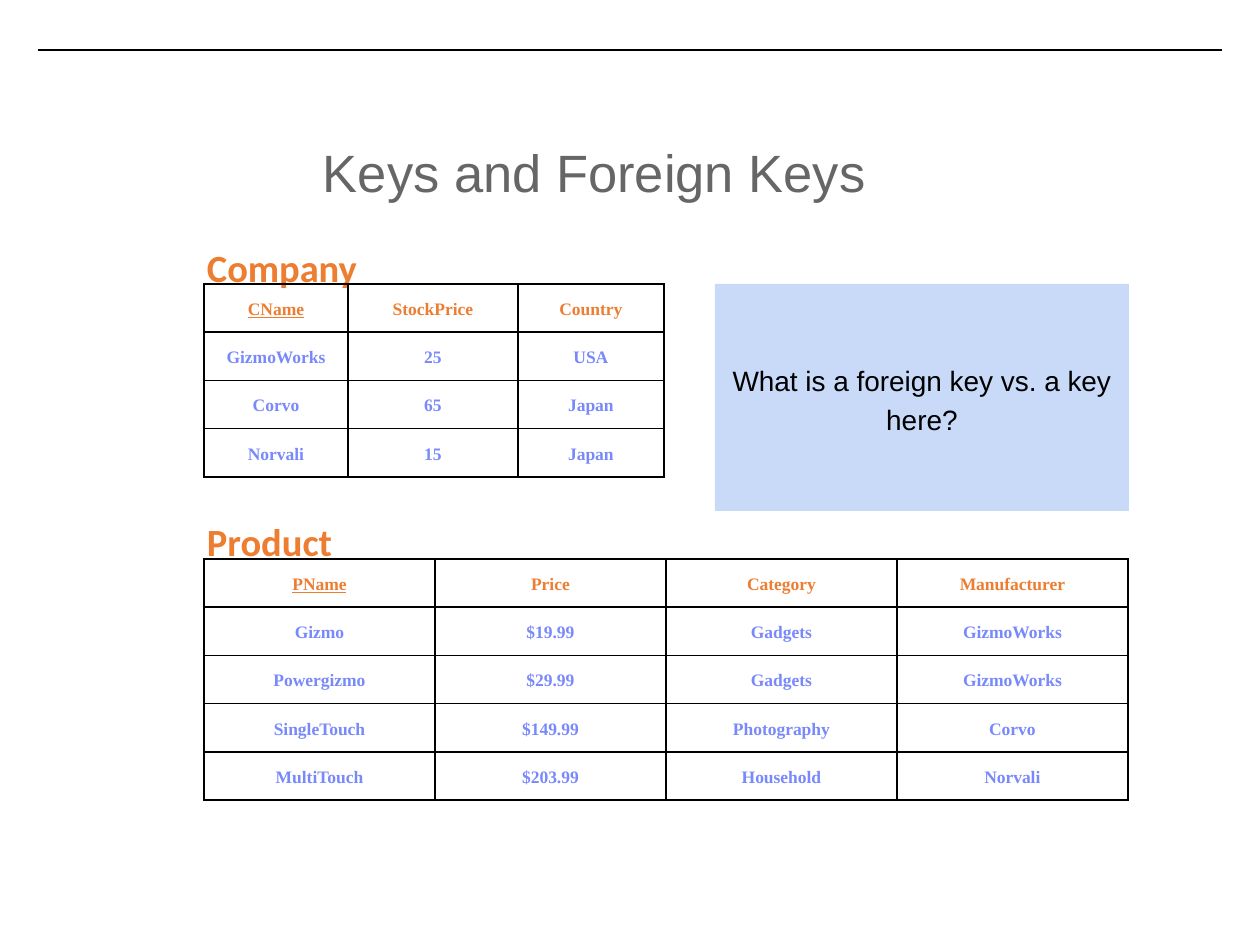
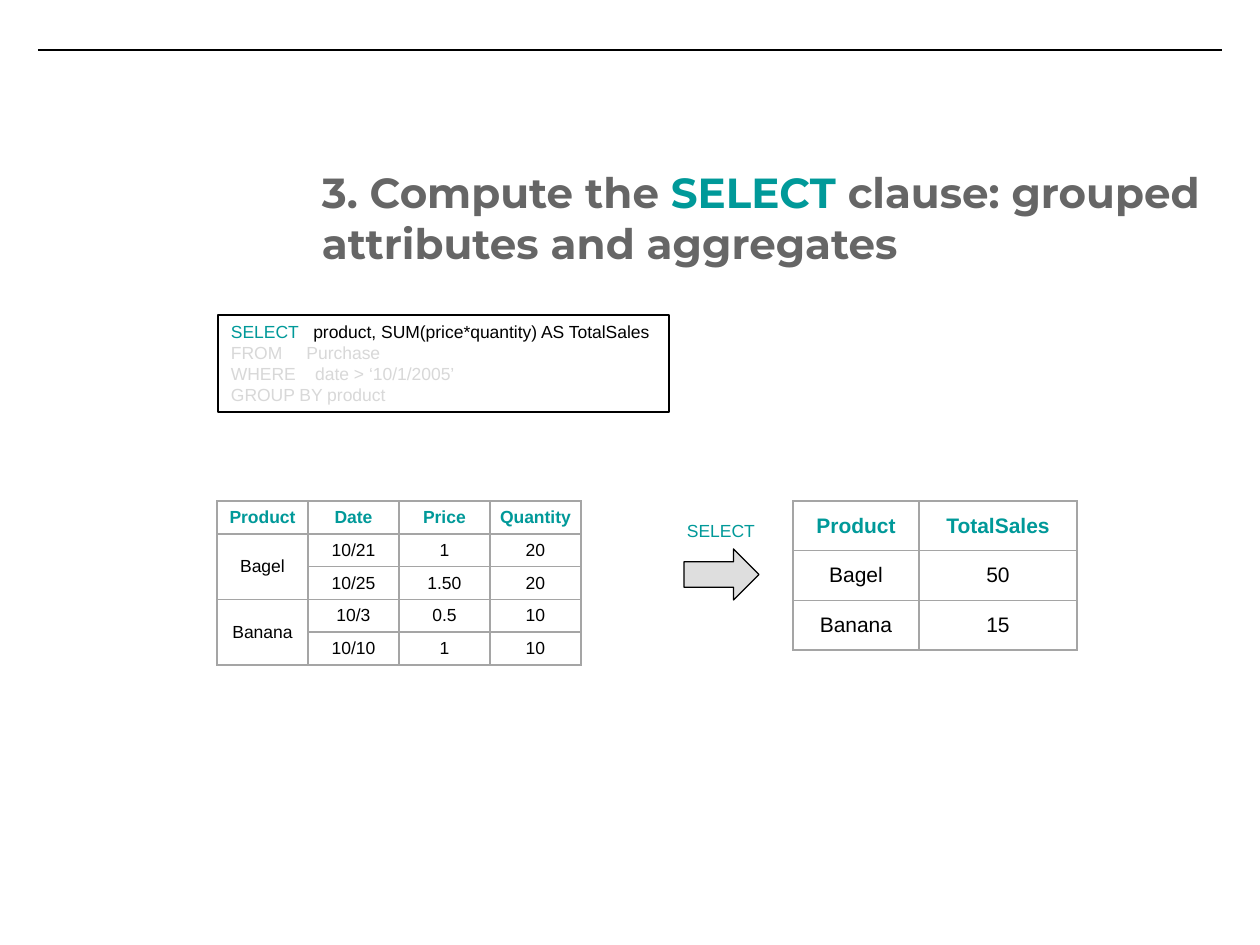
from lxml import etree
from pptx import Presentation
from pptx import util as u
from pptx.dml.color import RGBColor
from pptx.enum import shapes, text
from pptx.oxml import ns

PX = 914400 / 126  # EMU in one px
COLORS = {
    "black": "000000", "white": "FFFFFF", "title": "666666", "orange": "ED7D31",
    "periwinkle": "7889FB", "note": "C9DAF8", "teal": "009999", "faded": "D8D8D8",
    "grid": "A5A5A5", "arrow": "BFBFBF",
}
TOP, MIDDLE = text.MSO_ANCHOR.TOP, text.MSO_ANCHOR.MIDDLE
LEFT, CENTER = text.PP_ALIGN.LEFT, text.PP_ALIGN.CENTER


def px(*lengths):
    return [u.Emu(round(n * PX)) for n in lengths]


def rgb(name):
    return RGBColor.from_string(COLORS[name])


def write(tf, content, size=10, font="Arial", color="black", bold=False,
          underline=False, align=LEFT, spacing=1.0):
    """Fill tf; each line is a string or a list of (text, color) runs."""
    lines = [content] if isinstance(content, str) else content
    for i, line in enumerate(lines):
        p = tf.add_paragraph() if i else tf.paragraphs[0]
        p.alignment, p.line_spacing = align, spacing
        for words, tint in [(line, color)] if isinstance(line, str) else line:
            r = p.add_run()
            r.text = words
            f = r.font
            f.size, f.name, f.bold, f.underline = u.Pt(size), font, bold, underline
            f.color.rgb = rgb(tint)


class Deck:
    def __init__(self):
        self.prs = Presentation()
        self.prs.slide_width, self.prs.slide_height = px(1260, 945)
        self.s = None

    def slide(self, title, box, **fmt):
        self.s = self.prs.slides.add_slide(self.prs.slide_layouts[5])
        sp = self.s.shapes.title
        sp.left, sp.top, sp.width, sp.height = px(*box)
        self.frame(sp.text_frame, TOP, 13, 13)
        write(sp.text_frame, title, color="title", **fmt)
        self.rule(38, 50, 1222, 50)

    def frame(self, tf, anchor, side, end, wrap=True):
        tf.word_wrap, tf.auto_size = wrap, text.MSO_AUTO_SIZE.NONE
        tf.vertical_anchor = anchor
        tf.margin_left, tf.margin_top, tf.margin_right, tf.margin_bottom = px(
            side, end, side, end)

    def rule(self, *ends):
        line = self.s.shapes.add_connector(shapes.MSO_CONNECTOR.STRAIGHT, *px(*ends))
        line.line.color.rgb, line.line.width = rgb("black"), u.Pt(0.75)
        etree.SubElement(line._element.spPr, ns.qn("a:effectLst"))

    def label(self, words, box, anchor=TOP, end=6, wrap=True, **fmt):
        tf = self.s.shapes.add_textbox(*px(*box)).text_frame
        self.frame(tf, anchor, 13, end, wrap)
        write(tf, words, **fmt)

    def shape(self, kind, box, fill, outlined=True, alpha=None):
        sp = self.s.shapes.add_shape(kind, *px(*box))
        sp.shadow.inherit = False
        sp.fill.solid()
        sp.fill.fore_color.rgb = rgb(fill)
        if alpha:
            tint = sp._element.spPr.find(".//" + ns.qn("a:srgbClr"))
            etree.SubElement(tint, ns.qn("a:alpha"), val=str(alpha * 1000))
        if outlined:
            sp.line.color.rgb, sp.line.width = rgb("black"), u.Pt(0.75)
        else:
            sp.line.fill.background()
        return sp

    def panel(self, words, box, fill, anchor=TOP, end=6, outlined=True, **fmt):
        sp = self.shape(shapes.MSO_SHAPE.RECTANGLE, box, fill, outlined)
        self.frame(sp.text_frame, anchor, 13, end)
        write(sp.text_frame, words, **fmt)

    def border(self, cell, color):
        tc_pr = cell._tc.get_or_add_tcPr()
        for side in "LRTB":
            ln = etree.SubElement(tc_pr, ns.qn(f"a:ln{side}"), w=str(u.Pt(1)))
            fill = etree.SubElement(ln, ns.qn("a:solidFill"))
            etree.SubElement(fill, ns.qn("a:srgbClr"), val=COLORS[color])

    def table(self, x, y, widths, height, rows, head, body, grid,
              margins, anchor=MIDDLE, bold_body=False, key=False, **fmt):
        """Draw rows of text; None joins a cell to the one above it."""
        table = self.s.shapes.add_table(
            len(rows), len(widths), *px(x, y, sum(widths), height)).table
        table.first_row = table.horz_banding = False
        for column, width in zip(table.columns, widths):
            column.width, = px(width)
        for i, row in enumerate(rows):
            table.rows[i].height, = px(height / len(rows))
            for j, words in enumerate(row):
                cell = table.cell(i, j)
                self.border(cell, grid)
                cell.fill.background()
                side, end = margins
                cell.margin_left, cell.margin_right = px(side, side)
                cell.margin_top, cell.margin_bottom = px(end, end)
                cell.vertical_anchor = anchor
                if words is None:
                    table.cell(i - 1, j).merge(cell)
                    continue
                write(cell.text_frame, words, color=body if i else head,
                      bold=bold_body or i == 0, underline=key and i == j == 0,
                      align=CENTER, **fmt)


def keys_slide(deck):
    deck.slide("Keys and Foreign Keys", (310, 127, 881, 107), size=30)

    # Relations with underlined keys
    heading = dict(anchor=MIDDLE, end=13, size=22, font="Calibri",
                   color="orange", bold=True, spacing=1.15)
    relation = dict(head="orange", body="periwinkle", grid="black", margins=(13, 13),
                    anchor=TOP, bold_body=True, key=True,
                    font="Times New Roman", spacing=1.15)
    deck.label("Company", (194, 234, 217, 59), **heading)
    deck.table(204, 284, [144, 170, 146], 190, [
        ["CName", "StockPrice", "Country"],
        ["GizmoWorks", "25", "USA"],
        ["Corvo", "65", "Japan"],
        ["Norvali", "15", "Japan"],
    ], **relation)
    deck.label("Product", (194, 508, 217, 59), **heading)
    deck.table(204, 559, [231] * 4, 240, [
        ["PName", "Price", "Category", "Manufacturer"],
        ["Gizmo", "$19.99", "Gadgets", "GizmoWorks"],
        ["Powergizmo", "$29.99", "Gadgets", "GizmoWorks"],
        ["SingleTouch", "$149.99", "Photography", "Corvo"],
        ["MultiTouch", "$203.99", "Household", "Norvali"],
    ], **relation)

    # Question
    deck.panel("What is a foreign key vs. a key here?", (715, 284, 414, 227), "note",
               anchor=MIDDLE, end=13, outlined=False, size=16, align=CENTER, spacing=1.15)


def select_slide(deck):
    deck.slide([[("3. Compute the ", "title"), ("SELECT", "teal"),
                 (" clause: grouped attributes and aggregates", "title")]],
               (309, 154, 921, 160), size=24, font="Montserrat", bold=True)

    # Query
    deck.panel([
        [("SELECT", "teal"), ("   product, SUM(price*quantity) AS TotalSales", "black")],
        "FROM     Purchase",
        "WHERE    date > ‘10/1/2005’",
        "GROUP BY product",
    ], (218, 315, 451, 97), "white", color="faded")

    # Grouped rows, step arrow and result
    grouped = dict(head="teal", body="black", grid="grid", margins=(8, 4))
    deck.table(217, 501, [91] * 4, 164, [
        ["Product", "Date", "Price", "Quantity"],
        ["Bagel", "10/21", "1", "20"],
        [None, "10/25", "1.50", "20"],
        ["Banana", "10/3", "0.5", "10"],
        [None, "10/10", "1", "10"],
    ], **grouped)
    deck.label("SELECT", (674, 514, 94, 34), wrap=False, color="teal")
    deck.shape(shapes.MSO_SHAPE.RIGHT_ARROW, (684, 549, 75, 51), "arrow", alpha=50)
    deck.table(793, 501, [126, 158], 149, [
        ["Product", "TotalSales"],
        ["Bagel", "50"],
        ["Banana", "15"],
    ], size=12, **grouped)


def main():
    deck = Deck()
    keys_slide(deck)
    select_slide(deck)
    deck.prs.save("out.pptx")


if __name__ == "__main__":
    main()
